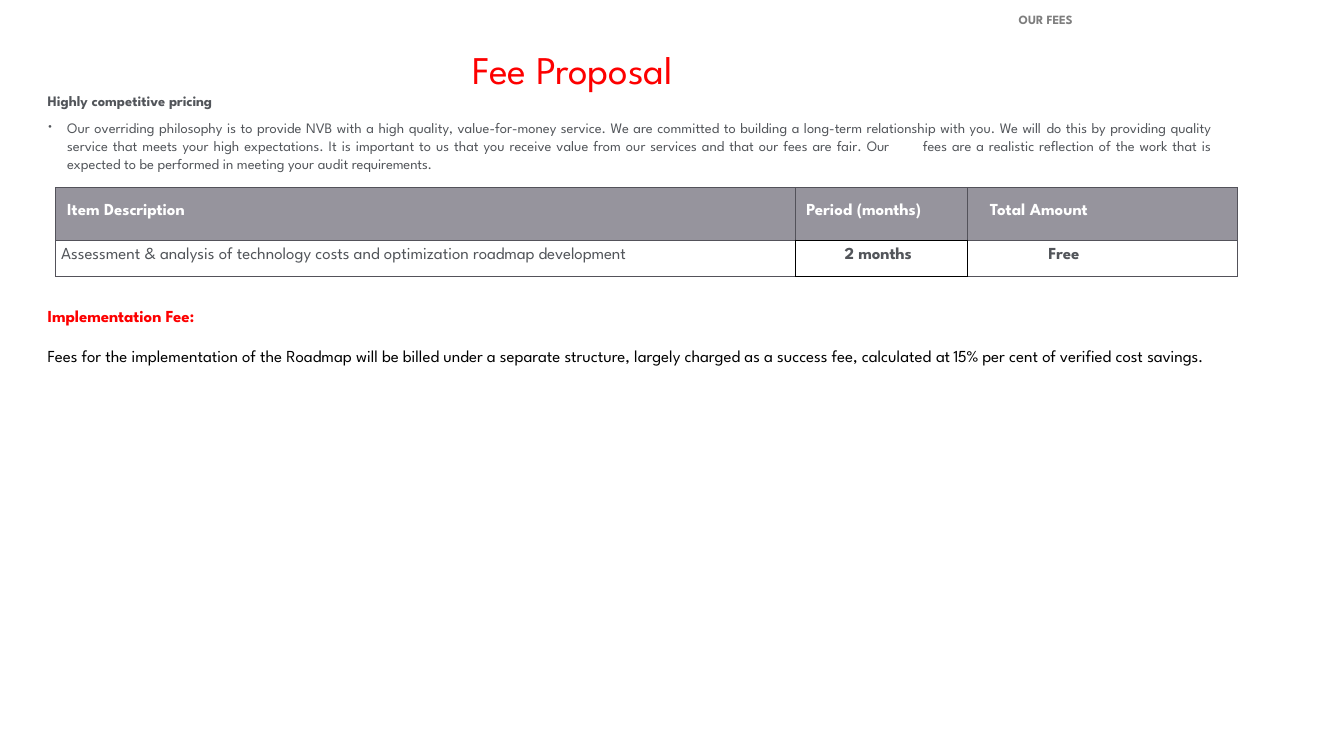
"""Build the fee proposal slide."""
from lxml.etree import SubElement
from pptx import Presentation
from pptx.dml.color import RGBColor
from pptx.enum.text import MSO_ANCHOR, PP_ALIGN
from pptx.oxml.ns import qn
from pptx.util import Inches, Pt

FONT = "League Spartan"
RED, GREY, SLATE, BLACK = "FD0000", "52555A", "53525A", "000000"
WHITE, HEADER_FILL, PALE = "FFFFFF", "96949D", "7E7E7E"

TITLE = [("Fee ", 0), ("Proposal", -0.1)]
SECTION = [("OUR ", 0), ("FEES", -0.2)]
PRICING_HEAD = [("Highly competitive ", 0), ("pricing", -0.1)]
PRICING = [
    ("Our overriding philosophy is to provide NVB with a high quality, value-for-money service. "
     "We are committed to building a long-term relationship with you. We ", 0),
    ("will \t", -0.2),
    ("do this by providing quality service that meets your high expectations. It is important "
     "to us that you receive value from our services and that our fees are fair. ", 0),
    ("Our \t", -0.2),
    ("fees are a realistic reflection of the work that is expected to be performed in meeting "
     "your audit ", 0),
    ("requirements.", -0.1),
]
FEE_HEAD = [("Implementation Fee:", -0.1)]
FEE = [
    ("Fees for the implementation of the Roadmap will be billed under a separate structure, "
     "largely charged as a success fee, calculated ", 0),
    ("at 15% ", -0.5), ("per cent ", 0), ("of ", -0.2), ("verified cost ", 0), ("savings.", -0.1),
]
ROWS = [
    [[("Item ", 0), ("Description", -0.1)], [("Period ", 0), ("(months)", -0.1)],
     [("Total Amount", 0)]],
    [[("Assessment & ", 0), ("a", -1.1), ("nalysis ", 0), ("o", -0.4), ("f ", 0), ("t", -0.6),
      ("echnology ", 0), ("c", -0.1), ("osts and ", 0), ("o", -0.5), ("ptimization ", 0),
      ("roadmap development", -0.1)],
     [("2 ", -0.3), ("months", -0.1)], [("Free", 0)]],
]
COLUMNS = [11, 2.56, 4.02]
HEIGHTS = [0.78, 0.54]
INDENTS = [[0.17, 0.17, 0.34], [0.08, 0.74, 1.21]]
TOP_MARGINS = [0.24, 0.12]
BLACK_EDGES = {(0, 1): "B", (1, 0): "R", (1, 1): "LRTB", (1, 2): "L"}


def write(para, spans, size, color, bold=False):
    for text, tracking in spans:
        span = para.add_run()
        span.text = text
        span.font.name, span.font.size, span.font.bold = FONT, Pt(size), bold
        span.font.color.rgb = RGBColor.from_string(color)
        if tracking:
            span._r.get_or_add_rPr().set("spc", str(round(tracking * 100)))


def add_box(page, left, top, width, height, top_margin=0.01):
    frame = page.shapes.add_textbox(*map(Inches, (left, top, width, height))).text_frame
    frame.word_wrap = True
    frame.margin_left = frame.margin_right = frame.margin_bottom = 0
    frame.margin_top = Inches(top_margin)
    return frame


def set_bullet(para):
    props = para._p.get_or_add_pPr()
    props.set("marL", str(Inches(0.29)))
    props.set("indent", str(Inches(-0.28)))
    SubElement(props, qn("a:buSzPct"), val="71000")
    SubElement(props, qn("a:buChar"), char="•")
    tabs = SubElement(props, qn("a:tabLst"))
    SubElement(tabs, qn("a:tab"), pos=str(Inches(0.3)), algn="l")


def set_borders(cell, black_edges):
    props = cell._tc.get_or_add_tcPr()
    for edge in "LRTB":
        line = SubElement(props, qn(f"a:ln{edge}"), w=str(Pt(1)))
        fill = SubElement(line, qn("a:solidFill"))
        SubElement(fill, qn("a:srgbClr"), val=BLACK if edge in black_edges else SLATE)


def add_fee_table(page):
    table = page.shapes.add_table(
        len(ROWS), len(COLUMNS), Inches(0.83), Inches(2.79),
        Inches(sum(COLUMNS)), Inches(sum(HEIGHTS))).table
    for column, width in zip(table.columns, COLUMNS):
        column.width = Inches(width)
    for r, row in enumerate(ROWS):
        table.rows[r].height = Inches(HEIGHTS[r])
        for c, spans in enumerate(row):
            cell = table.cell(r, c)
            cell.margin_left, cell.margin_top = Inches(INDENTS[r][c]), Inches(TOP_MARGINS[r])
            cell.margin_right = cell.margin_bottom = 0
            cell.vertical_anchor = MSO_ANCHOR.TOP
            set_borders(cell, BLACK_EDGES.get((r, c), ""))
            if r == 0:
                cell.fill.solid()
                cell.fill.fore_color.rgb = RGBColor.from_string(HEADER_FILL)
            else:
                cell.fill.background()
            write(cell.text_frame.paragraphs[0], spans, 18,
                  GREY if r else WHITE, bold=r == 0 or c > 0)


def main():
    deck = Presentation()
    deck.slide_width, deck.slide_height = Inches(20), Inches(11.25)
    page = deck.slides.add_slide(deck.slide_layouts[6])

    write(add_box(page, 7.03, 0.67, 3.66, 0.73).paragraphs[0], TITLE, 42, RED)
    write(add_box(page, 15.16, 0.17, 0.95, 0.25).paragraphs[0], SECTION, 13.5, PALE, True)

    pricing = add_box(page, 0.71, 1.21, 17.31, 1.35, 0.16)
    write(pricing.paragraphs[0], PRICING_HEAD, 15.5, GREY, True)
    para = pricing.add_paragraph()
    set_bullet(para)
    para.alignment, para.line_spacing, para.space_before = PP_ALIGN.JUSTIFY, 1.03, Pt(10.2)
    write(para, PRICING, 15.5, GREY)

    add_fee_table(page)

    fees = add_box(page, 0.71, 4.54, 17.96, 1.2)
    fees.paragraphs[0].line_spacing = Pt(21.3)
    write(fees.paragraphs[0], FEE_HEAD, 18, RED, True)
    para = fees.add_paragraph()
    para.line_spacing, para.space_before = Pt(21.8), Pt(21.6)
    write(para, FEE, 18, BLACK)

    deck.save("out.pptx")


if __name__ == "__main__":
    main()
